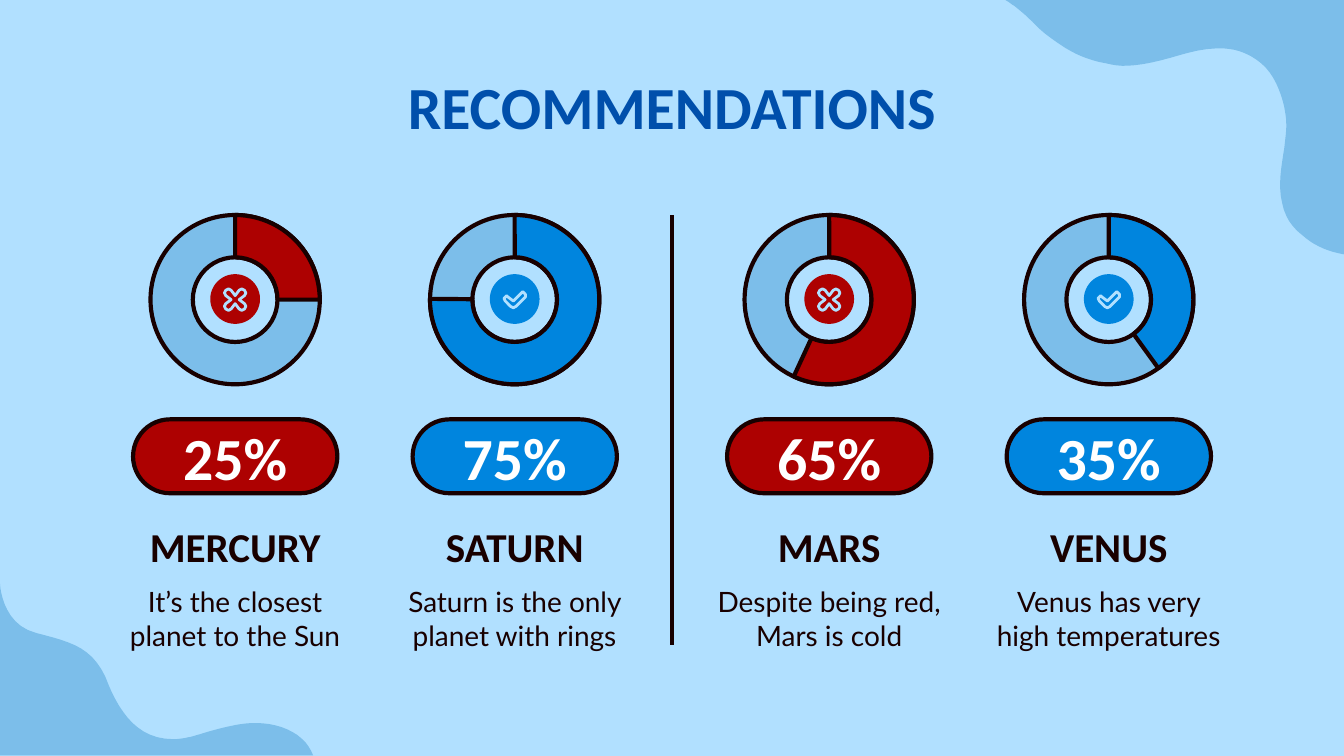
from dataclasses import dataclass

from lxml.etree import SubElement
from pptx import Presentation
from pptx.dml.color import RGBColor
from pptx.enum.shapes import MSO_CONNECTOR, MSO_SHAPE
from pptx.enum.text import MSO_ANCHOR, PP_ALIGN
from pptx.oxml.ns import qn
from pptx.util import Inches, Pt


@dataclass(frozen=True)
class Theme:
    sky: str = "B1E0FF"
    wave: str = "7CBEEA"
    ink: str = "180000"
    navy: str = "004FAB"
    red: str = "AD0101"
    blue: str = "0085DE"
    white: str = "FFFFFF"
    head: str = "Calibri"
    body: str = "Lato"
    big: int = 32
    mid: int = 22
    small: int = 15
    line: float = 2.25
    thin: float = 1.5


@dataclass(frozen=True)
class Planet:
    mid: float  # column centre
    name: str
    share: str
    sweep: float  # degrees of the ring, clockwise from the top
    good: bool
    note: str


T = Theme()
PLANETS = [
    Planet(1.75, "MERCURY", "25%", 90, False, "It’s the closest planet to the Sun"),
    Planet(3.83, "SATURN", "75%", 270.53, True, "Saturn is the only planet with rings"),
    Planet(6.17, "MARS", "65%", 204.74, False, "Despite being red, Mars is cold"),
    Planet(8.25, "VENUS", "35%", 144.12, True, "Venus has very high temperatures"),
]
RING_Y = 2.23
GRAIN = 1000  # freeform units to the inch

# Each wave: a start, then segments of one point (line) or three (curve)
WAVES = [
    [(0, 5.62), [(0, 4.33)],
     [(0, 4.33), (0, 4.64), (0.27, 4.71)],
     [(0.54, 4.78), (0.71, 4.82), (0.81, 5.1)],
     [(0.9, 5.31), (1.03, 5.5), (1.29, 5.5)],
     [(1.36, 5.5), (1.44, 5.48), (1.53, 5.45)],
     [(1.67, 5.41), (1.79, 5.38), (1.9, 5.38)],
     [(2.12, 5.38), (2.28, 5.48), (2.33, 5.62)]],
    [(10.1, 1.9), [(10.2, 1.9), (10.27, 1.88), (10.33, 1.85)],
     [(10.33, 0)], [(7.48, 0)],
     [(7.58, 0.06), (7.66, 0.14), (7.74, 0.22)],
     [(7.88, 0.34), (8.04, 0.44), (8.22, 0.47)],
     [(8.27, 0.48), (8.31, 0.49), (8.36, 0.49)],
     [(8.5, 0.49), (8.64, 0.45), (8.78, 0.41)],
     [(8.88, 0.38), (8.98, 0.36), (9.08, 0.36)],
     [(9.16, 0.36), (9.24, 0.38), (9.31, 0.42)],
     [(9.48, 0.51), (9.55, 0.71), (9.57, 0.89)],
     [(9.58, 1.1), (9.49, 1.31), (9.54, 1.51)],
     [(9.56, 1.61), (9.61, 1.69), (9.69, 1.75)],
     [(9.8, 1.85), (9.95, 1.9), (10.1, 1.9)]],
]

# Icon outlines around their centre; the cross is one arm turned four times
ARM = [(0, -0.03), (0.03, -0.07), (0.05, -0.08), (0.07, -0.07), (0.08, -0.05), (0.07, -0.03)]
CROSS = ARM + [(-y, x) for x, y in ARM] + [(-x, -y) for x, y in ARM] + [(y, -x) for x, y in ARM]
CHECK = [(0.06, -0.06), (0.08, -0.04), (0.08, -0.02), (0.01, 0.05), (-0.01, 0.06),
         (-0.03, 0.05), (-0.07, 0.01), (-0.08, -0.01), (-0.06, -0.03), (-0.05, -0.02),
         (-0.01, 0.01), (0.05, -0.05)]


def paint(shape, fill: str, edge: str = "", width: float = T.line) -> None:
    shape.shadow.inherit = False
    shape.fill.solid()
    shape.fill.fore_color.rgb = RGBColor.from_string(fill)
    if edge:
        shape.line.color.rgb = RGBColor.from_string(edge)
        shape.line.width = Pt(width)
    else:
        shape.line.fill.background()


def put(slide, kind, mid: float, top: float, wide: float, high: float, fill: str, edge: str = ""):
    shape = slide.shapes.add_shape(
        kind, Inches(mid - wide / 2), Inches(top), Inches(wide), Inches(high))
    paint(shape, fill, edge)
    return shape


def trace(slide, points: list, fill: str, edge: str = "") -> None:
    dots = [(round(x * GRAIN), round(y * GRAIN)) for x, y in points]
    pen = slide.shapes.build_freeform(*dots[0], scale=Inches(1) / GRAIN)
    pen.add_line_segments(dots[1:], close=True)
    paint(pen.convert_to_shape(), fill, edge, T.thin)


def bend(wave: list, steps: int = 12) -> list:
    points = [wave[0]]
    for seg in wave[1:]:
        if len(seg) == 1:
            points += seg
            continue
        a, (b, c, d) = points[-1], seg
        for i in range(1, steps + 1):
            t = i / steps
            u = 1 - t
            points.append(tuple(
                u**3 * a[k] + 3 * u * u * t * b[k] + 3 * u * t * t * c[k] + t**3 * d[k]
                for k in (0, 1)))
    return points


def write(shape, text: str, size: int, color: str, font: str = T.head, bold: bool = True,
          pad: float = 0.1, anchor=MSO_ANCHOR.MIDDLE) -> None:
    frame = shape.text_frame
    frame.word_wrap = True
    frame.vertical_anchor = anchor
    frame.margin_left = frame.margin_right = Inches(pad)
    frame.margin_top = frame.margin_bottom = Inches(pad)
    para = frame.paragraphs[0]
    para.text = text
    para.alignment = PP_ALIGN.CENTER
    para.font.name, para.font.size, para.font.bold = font, Pt(size), bold
    para.font.color.rgb = RGBColor.from_string(color)


def label(slide, mid: float, top: float, wide: float, high: float):
    return slide.shapes.add_textbox(
        Inches(mid - wide / 2), Inches(top), Inches(wide), Inches(high))


def column(slide, p: Planet) -> None:
    tone = T.blue if p.good else T.red
    # Ring
    ring = put(slide, MSO_SHAPE.DONUT, p.mid, 1.6, 1.26, 1.26, T.wave, T.ink)
    ring.adjustments[0] = 0.25
    arc = put(slide, MSO_SHAPE.BLOCK_ARC, p.mid, 1.6, 1.26, 1.26, tone, T.ink)
    # Angles are stored in 60000ths, adjustments in 100000ths
    for i, value in enumerate((270 * 0.6, (p.sweep + 270) % 360 * 0.6, 0.25)):
        arc.adjustments[i] = value
    # Badge
    put(slide, MSO_SHAPE.OVAL, p.mid, 2.04, 0.37, 0.37, tone)
    icon = CHECK if p.good else CROSS
    trace(slide, [(p.mid + x, RING_Y + y) for x, y in icon], tone, T.sky)
    # Share, name and note
    pill = put(slide, MSO_SHAPE.ROUNDED_RECTANGLE, p.mid, 3.12, 1.52, 0.55, tone, T.ink)
    pill.adjustments[0] = 0.5
    write(pill, p.share, T.big, T.white, pad=0)
    write(label(slide, p.mid, 3.86, 1.93, 0.41), p.name, T.mid, T.ink)
    write(label(slide, p.mid, 4.22, 1.93, 0.76), p.note, T.small, T.ink, T.body, False)


def main() -> None:
    deck = Presentation()
    deck.slide_width = Inches(10)
    deck.slide_height = Inches(10) * 9 // 16
    slide = deck.slides.add_slide(deck.slide_layouts[6])

    # Backdrop
    slide.background.fill.solid()
    slide.background.fill.fore_color.rgb = RGBColor.from_string(T.sky)
    for wave in WAVES:
        trace(slide, bend(wave), T.wave)

    # Title
    write(label(slide, 5, 0.42, 8.43, 0.65), "RECOMMENDATIONS", T.big, T.navy,
          anchor=MSO_ANCHOR.TOP)

    # Columns
    for planet in PLANETS:
        column(slide, planet)

    # Divider
    rule = slide.shapes.add_connector(
        MSO_CONNECTOR.STRAIGHT, Inches(5), Inches(1.6), Inches(5), Inches(4.8))
    rule.line.color.rgb = RGBColor.from_string(T.ink)
    rule.line.width = Pt(T.line)
    SubElement(rule._element.spPr, qn("a:effectLst"))

    deck.save("out.pptx")


if __name__ == "__main__":
    main()
